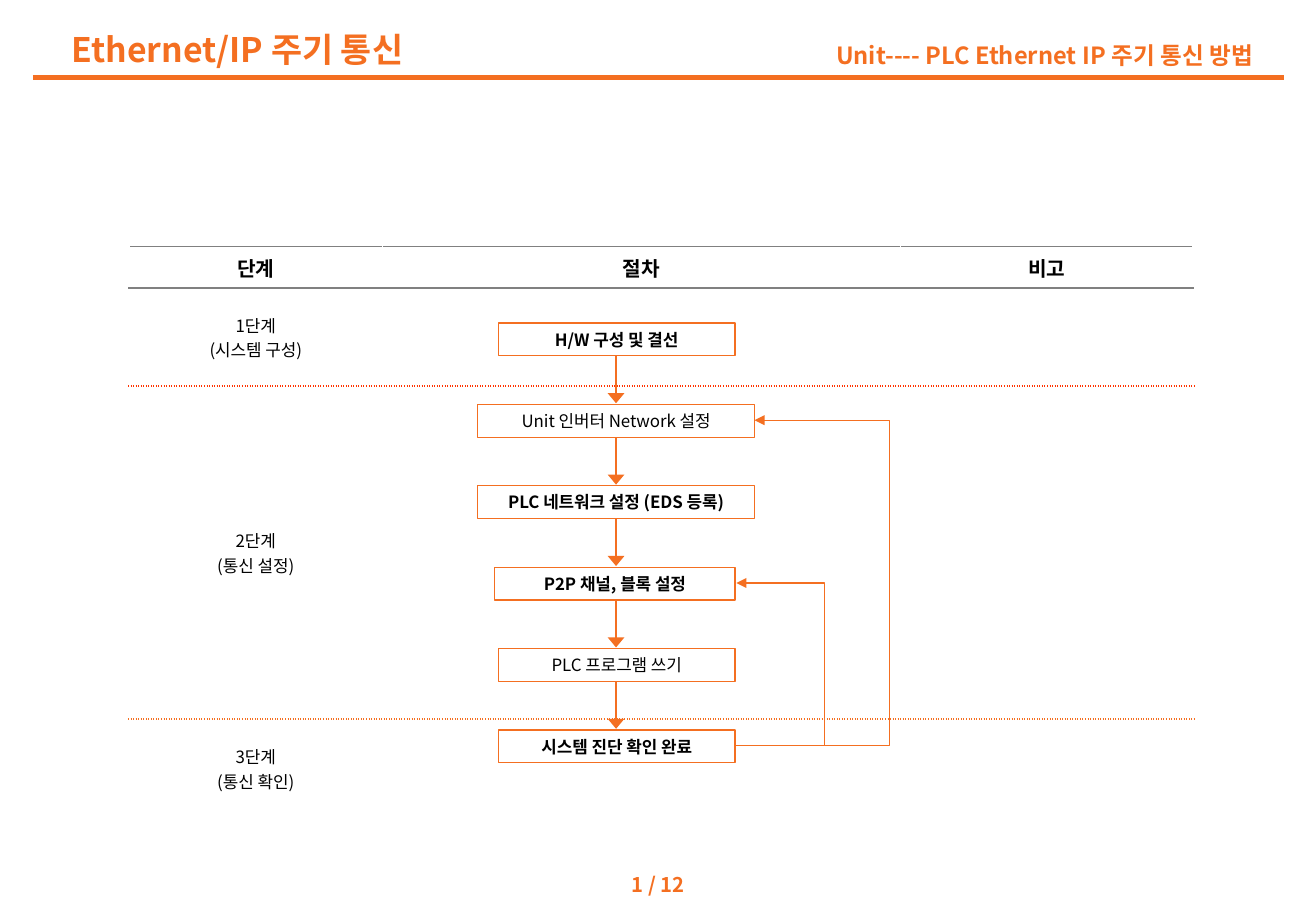
from lxml import etree
from pptx import Presentation
from pptx.dml.color import RGBColor
from pptx.enum.shapes import MSO_CONNECTOR, MSO_SHAPE
from pptx.enum.text import MSO_ANCHOR, PP_ALIGN
from pptx.oxml.ns import qn
from pptx.util import Emu, Pt

STRAIGHT, ELBOW = MSO_CONNECTOR.STRAIGHT, MSO_CONNECTOR.ELBOW
RECTANGLE = MSO_SHAPE.RECTANGLE
MIDDLE = MSO_ANCHOR.MIDDLE
LEFT, CENTER, RIGHT = PP_ALIGN.LEFT, PP_ALIGN.CENTER, PP_ALIGN.RIGHT

EMU_PER_PX = 9144
FONT = "Noto Sans CJK KR"
ORANGE = RGBColor(0xF4, 0x6F, 0x21)
RED = RGBColor(0xFF, 0x33, 0x00)
GRAY = RGBColor(0x80, 0x80, 0x80)
BLACK = RGBColor(0, 0, 0)
WHITE = RGBColor(0xFF, 0xFF, 0xFF)

COLUMN_WIDTHS = [209, 426, 241]
ROW_HEIGHTS = [34, 81, 274, 82]
HEADINGS = ["단계", "절차", "비고"]
STAGES = [
    ["1단계", "(시스템 구성)"],
    ["2단계", "(통신 설정)"],
    ["3단계", "(통신 확인)"],
]
ROW_RULES = [(GRAY, "solid"), (GRAY, "solid"), (RED, "dot"), (ORANGE, "dot"), (WHITE, "solid")]

STEPS = [
    ("H/W 구성 및 결선", 410, 195, True),
    ("Unit 인버터 Network 설정", 393, 228, False),
    ("PLC 네트워크 설정 (EDS 등록)", 393, 228, True),
    ("P2P 채널, 블록 설정", 407, 198, True),
    ("PLC 프로그램 쓰기", 410, 195, False),
    ("시스템 진단 확인 완료", 410, 195, True),
]
STEP_TOP, STEP_PITCH, STEP_HEIGHT = 266, 67, 27
ARROW_X, ARROW_LENGTH = 507, 39
RETURNS = [(3, 606, 680), (1, 621, 732)]


def px(value):
    return Emu(value * EMU_PER_PX)


def write_lines(frame, lines, size, color, bold, align):
    for index, text in enumerate(lines):
        paragraph = frame.paragraphs[0] if index == 0 else frame.add_paragraph()
        paragraph.alignment = align
        run = paragraph.add_run()
        run.text = text
        run.font.size = Pt(size)
        run.font.bold = bold
        run.font.color.rgb = color
        run.font.name = FONT
        east_asian = etree.SubElement(run.font._element, qn("a:ea"))
        east_asian.set("typeface", FONT)


def add_label(slide, box, text, size, align):
    shape = slide.shapes.add_textbox(*map(px, box))
    frame = shape.text_frame
    frame.word_wrap = True
    frame.vertical_anchor = MIDDLE
    write_lines(frame, [text], size, ORANGE, True, align)
    return frame


def add_line(slide, start, end, width, kind=STRAIGHT, head_width=None):
    connector = slide.shapes.add_connector(kind, *map(px, start + end))
    connector.line.color.rgb = ORANGE
    connector.line.width = Pt(width)
    properties = connector._element.spPr
    if head_width:
        line = properties.find(qn("a:ln"))
        etree.SubElement(line, qn("a:tailEnd"), type="triangle", w=head_width)
    etree.SubElement(properties, qn("a:effectLst"))
    return connector


def add_return_arrow(slide, start, end, bend_x):
    connector = add_line(slide, start, end, 0.75, ELBOW, "med")
    geometry = connector._element.spPr.find(qn("a:prstGeom"))
    guides = geometry.find(qn("a:avLst"))
    if guides is None:
        guides = etree.SubElement(geometry, qn("a:avLst"))
    ratio = (bend_x - start[0]) / (end[0] - start[0])
    etree.SubElement(guides, qn("a:gd"), name="adj1", fmla=f"val {round(ratio * 100000)}")


def add_step(slide, text, left, top, width, bold):
    shape = slide.shapes.add_shape(RECTANGLE, px(left), px(top), px(width), px(STEP_HEIGHT))
    shape.shadow.inherit = False
    shape.fill.background()
    shape.line.color.rgb = ORANGE
    shape.line.width = Pt(0.75)
    frame = shape.text_frame
    frame.word_wrap = True
    frame.vertical_anchor = MIDDLE
    write_lines(frame, [text], 10, BLACK, bold, CENTER)


def style_cell(cell, top_rule, bottom_rule):
    properties = cell._tc.get_or_add_tcPr()
    side = (WHITE, "solid")
    borders = {"lnL": side, "lnR": side, "lnT": top_rule, "lnB": bottom_rule}
    for tag, (color, dash) in borders.items():
        line = etree.SubElement(properties, qn(f"a:{tag}"), w=str(Pt(1)))
        fill = etree.SubElement(line, qn("a:solidFill"))
        etree.SubElement(fill, qn("a:srgbClr"), val=str(color))
        etree.SubElement(line, qn("a:prstDash"), val="sysDot" if dash == "dot" else dash)
    cell.fill.solid()
    cell.fill.fore_color.rgb = WHITE
    cell.vertical_anchor = MIDDLE


def add_stage_table(slide):
    size = px(sum(COLUMN_WIDTHS)), px(sum(ROW_HEIGHTS))
    table = slide.shapes.add_table(
        len(ROW_HEIGHTS), len(COLUMN_WIDTHS), px(106), px(203), *size).table
    table.first_row = False
    table.horz_banding = False
    for column, width in zip(table.columns, COLUMN_WIDTHS):
        column.width = px(width)
    for index, (row, height) in enumerate(zip(table.rows, ROW_HEIGHTS)):
        row.height = px(height)
        for cell in row.cells:
            style_cell(cell, ROW_RULES[index], ROW_RULES[index + 1])
    for column, heading in enumerate(HEADINGS):
        write_lines(table.cell(0, column).text_frame, [heading], 12, BLACK, True, CENTER)
    for row, lines in enumerate(STAGES, start=1):
        write_lines(table.cell(row, 0).text_frame, lines, 10, BLACK, False, CENTER)


def add_flow(slide):
    for index, (text, left, width, bold) in enumerate(STEPS):
        top = STEP_TOP + index * STEP_PITCH
        add_step(slide, text, left, top, width, bold)
        if index < len(STEPS) - 1:
            bottom = top + STEP_HEIGHT
            end = (ARROW_X, bottom + ARROW_LENGTH)
            add_line(slide, (ARROW_X, bottom), end, 0.75, head_width="lg")
    middles = [STEP_TOP + index * STEP_PITCH + STEP_HEIGHT // 2 for index in range(len(STEPS))]
    for target, end_x, bend_x in RETURNS:
        add_return_arrow(slide, (605, middles[-1]), (end_x, middles[target]), bend_x)


def main():
    presentation = Presentation()
    presentation.slide_width = px(1083)
    presentation.slide_height = px(750)
    slide = presentation.slides.add_slide(presentation.slide_layouts[6])
    add_line(slide, (27, 64), (1057, 64), 3)
    page_frame = add_label(slide, (507, 714, 69, 28), "1 / 12", 12, CENTER)
    page_frame.margin_left = page_frame.margin_right = px(4)
    add_label(slide, (49, 18, 787, 44), "Ethernet/IP 주기 통신", 20, LEFT)
    add_stage_table(slide)
    add_flow(slide)
    add_label(slide, (478, 28, 563, 34), "Unit---- PLC Ethernet IP 주기 통신 방법", 14, RIGHT)
    presentation.save("out.pptx")


if __name__ == "__main__":
    main()
